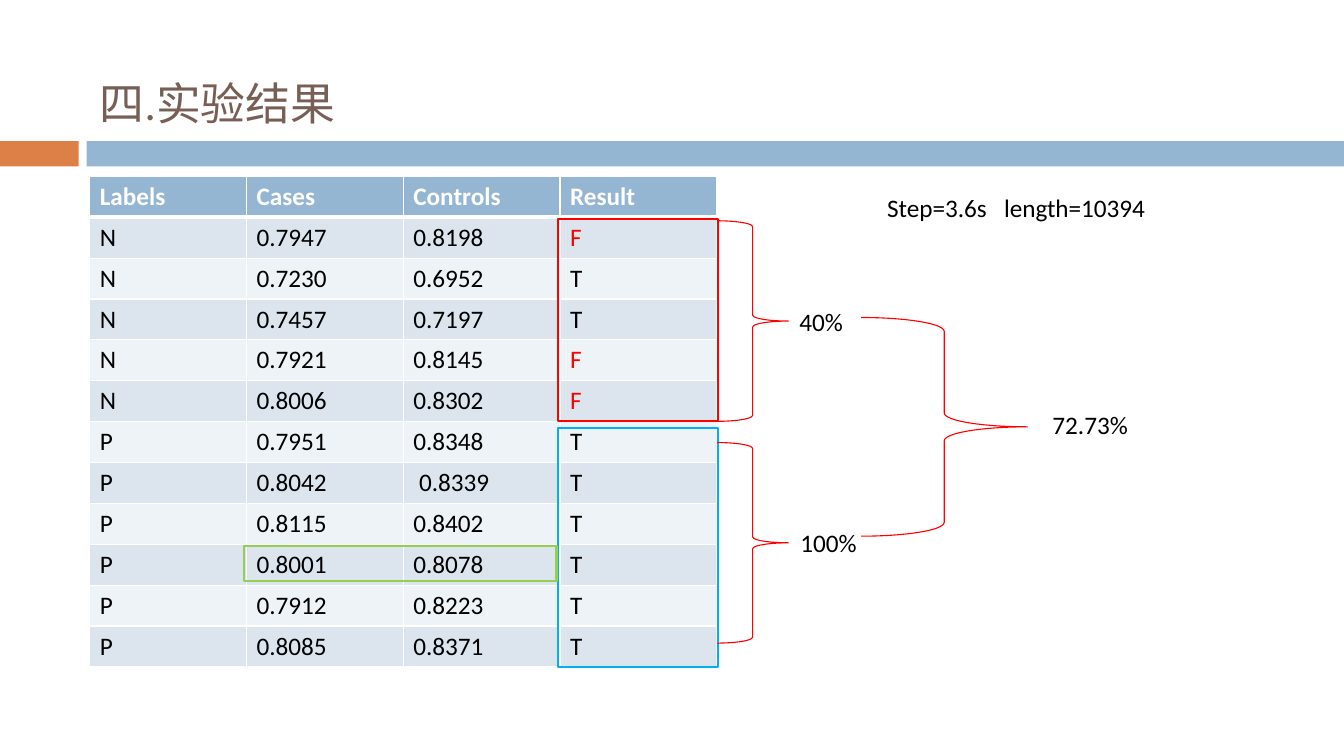
from dataclasses import dataclass
from lxml import etree
from pptx import Presentation, util as u
from pptx.dml.color import RGBColor
from pptx.enum import shapes, text
from pptx.oxml import ns

Inches = u.Inches


@dataclass(frozen=True)
class Theme:
    """Colours, font and type sizes of the slide."""
    font: str = "Calibri"
    title_size: int = 32
    body_size: int = 18
    title: str = "775F55"
    accent: str = "DD8047"
    header: str = "94B6D2"
    bands: tuple = ("DCE5EE", "EEF3F7")
    white: str = "FFFFFF"
    black: str = "000000"
    red: str = "FF0000"
    blue: str = "00B0F0"
    green: str = "92D050"
    brace_width: float = 0.79
    frame_width: float = 1.5


class SlideBuilder:
    """Adds styled elements to one slide."""

    def __init__(self, slide, theme):
        """Keep the slide and its theme."""
        self.slide = slide
        self.theme = theme

    def style(self, paragraph, size, color, bold=False):
        """Set the font of a whole paragraph."""
        font = paragraph.font
        font.name, font.size, font.bold = self.theme.font, u.Pt(size), bold
        font.color.rgb = RGBColor.from_string(color)

    def title(self, words, box):
        """Fill, move and format the title placeholder."""
        shape = self.slide.shapes.title
        shape.left, shape.top, shape.width, shape.height = map(Inches, box)
        frame = shape.text_frame
        frame.text = words
        frame.vertical_anchor = text.MSO_ANCHOR.BOTTOM
        frame.paragraphs[0].alignment = text.PP_ALIGN.LEFT
        self.style(frame.paragraphs[0], self.theme.title_size, self.theme.title)

    def preset(self, kind, box, fill=None, line=None, width=1):
        """Add a preset shape, filled or outlined."""
        shape = self.slide.shapes.add_shape(kind, *map(Inches, box))
        shape.shadow.inherit = False
        if fill:
            shape.fill.solid()
            shape.fill.fore_color.rgb = RGBColor.from_string(fill)
        else:
            shape.fill.background()
        if line:
            shape.line.color.rgb = RGBColor.from_string(line)
            shape.line.width = u.Pt(width)
        else:
            shape.line.fill.background()

    def band(self, box, color):
        """Add a plain coloured bar."""
        self.preset(shapes.MSO_SHAPE.RECTANGLE, box, fill=color)

    def frame(self, box, color):
        """Add an outline that marks table cells."""
        self.preset(shapes.MSO_SHAPE.RECTANGLE, box, line=color,
                    width=self.theme.frame_width)

    def brace(self, box):
        """Add a red right brace."""
        self.preset(shapes.MSO_SHAPE.RIGHT_BRACE, box, line=self.theme.red,
                    width=self.theme.brace_width)

    def label(self, words, box, tab=None):
        """Add a text box, with an optional tab stop in inches."""
        frame = self.slide.shapes.add_textbox(*map(Inches, box)).text_frame
        frame.word_wrap = True
        frame.text = words
        paragraph = frame.paragraphs[0]
        self.style(paragraph, self.theme.body_size, self.theme.black)
        if tab:
            stops = etree.Element(ns.qn("a:tabLst"))
            etree.SubElement(stops, ns.qn("a:tab"), pos=str(Inches(tab)), algn="l")
            paragraph._p.get_or_add_pPr().insert(0, stops)

    def borders(self, cell, bottom):
        """Draw white cell borders; the bottom width is given in points."""
        properties = cell._tc.get_or_add_tcPr()
        widths = {"a:lnL": 1, "a:lnR": 1, "a:lnT": 1, "a:lnB": bottom}
        for index, (tag, width) in enumerate(widths.items()):
            line = etree.Element(ns.qn(tag), w=str(u.Pt(width)))
            fill = etree.SubElement(line, ns.qn("a:solidFill"))
            etree.SubElement(fill, ns.qn("a:srgbClr"), val=self.theme.white)
            properties.insert(index, line)

    def table(self, rows, box):
        """Add a table with a header row and banded body rows."""
        theme = self.theme
        table = self.slide.shapes.add_table(
            len(rows), len(rows[0]), *map(Inches, box)).table
        for r, row in enumerate(rows):
            header = r == 0
            fill = theme.header if header else theme.bands[(r - 1) % 2]
            for c, words in enumerate(row):
                cell = table.cell(r, c)
                cell.text = words
                cell.fill.solid()
                cell.fill.fore_color.rgb = RGBColor.from_string(fill)
                color = (theme.white if header else
                         theme.red if words == "F" else theme.black)
                self.style(cell.text_frame.paragraphs[0], theme.body_size,
                           color, bold=header)
                # The line under the header is shared with the first body row.
                self.borders(cell, bottom=3 if header else 1)


RESULTS = [
    ("Labels", "Cases", "Controls", "Result"),
    ("N", "0.7947", "0.8198", "F"),
    ("N", "0.7230", "0.6952", "T"),
    ("N", "0.7457", "0.7197", "T"),
    ("N", "0.7921", "0.8145", "F"),
    ("N", "0.8006", "0.8302", "F"),
    ("P", "0.7951", "0.8348", "T"),
    ("P", "0.8042", " 0.8339", "T"),
    ("P", "0.8115", "0.8402", "T"),
    ("P", "0.8001", "0.8078", "T"),
    ("P", "0.7912", "0.8223", "T"),
    ("P", "0.8085", "0.8371", "T"),
]


def main():
    """Build the results slide and save it."""
    presentation = Presentation()
    presentation.slide_width, presentation.slide_height = Inches(13.33), Inches(7.5)
    theme = Theme()
    title_only = presentation.slide_layouts[5]
    builder = SlideBuilder(presentation.slides.add_slide(title_only), theme)

    builder.band((0, 1.4, 0.78, 0.25), theme.accent)
    builder.band((0.86, 1.4, 12.47, 0.25), theme.header)
    builder.title("四.实验结果", (0.89, 0.25, 11.89, 1.08))
    builder.table(RESULTS, (0.89, 1.75, 6.22, 4.87))

    builder.frame((5.53, 2.17, 1.59, 2.01), theme.red)
    builder.frame((5.53, 4.25, 1.59, 2.37), theme.blue)
    builder.frame((2.42, 5.42, 3.1, 0.34), theme.green)

    for top in (2.19, 4.39):
        builder.brace((7.11, top, 0.71, 1.99))
    builder.brace((8.54, 3.15, 1.65, 2.17))

    builder.label("40%", (7.83, 2.99, 0.71, 0.4))
    builder.label("100%", (7.84, 5.18, 0.86, 0.4))
    builder.label("72.73%", (10.34, 4.01, 1.04, 0.4))
    builder.label("Step=3.6s\tlength=10394", (8.7, 1.86, 3.39, 0.4), tab=1.16)

    presentation.save("out.pptx")


main()
